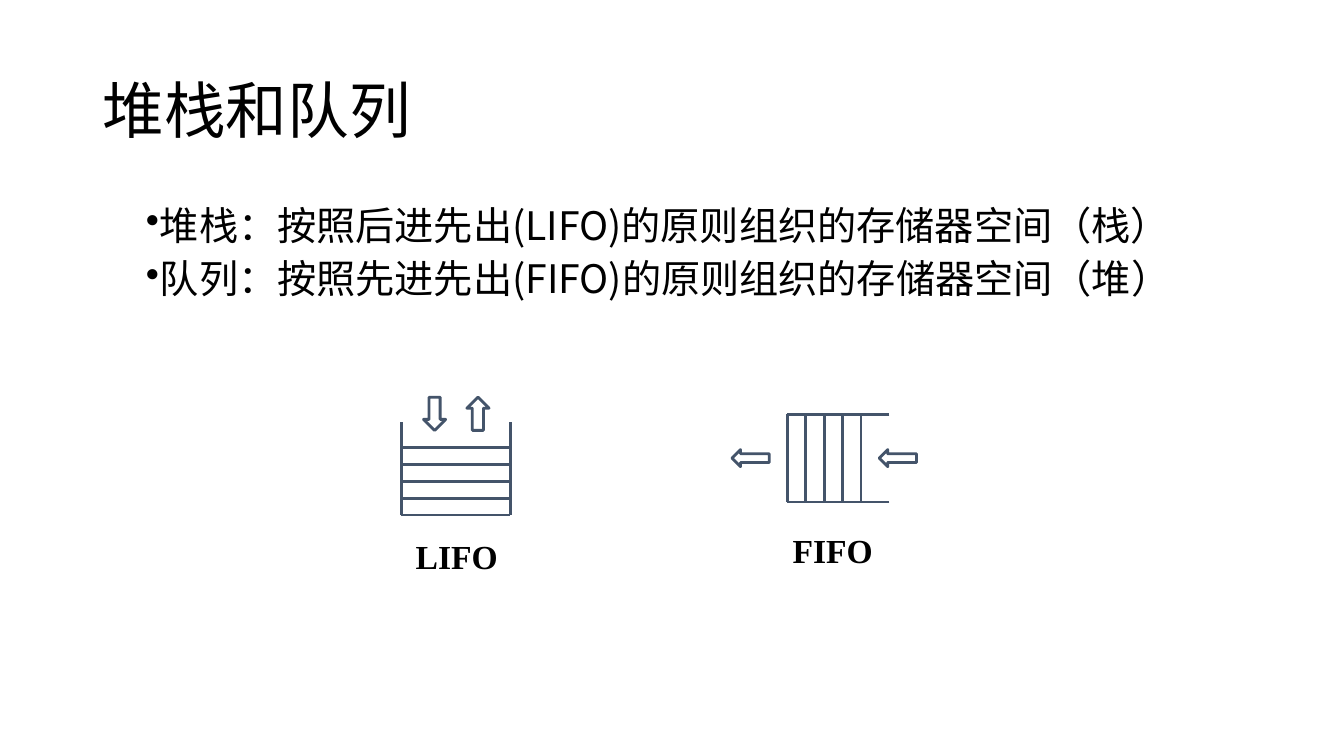
"""Build the slide that compares a stack with a queue."""
from dataclasses import dataclass
from typing import Any

import pptx
import pptx.dml.color
import pptx.enum.shapes
import pptx.enum.text
import pptx.oxml.ns
import pptx.oxml.xmlchemy
import pptx.util

Inches = pptx.util.Inches
Pt = pptx.util.Pt
BLACK = pptx.dml.color.RGBColor(0x00, 0x00, 0x00)
SLATE = pptx.dml.color.RGBColor(0x44, 0x54, 0x6A)
CJK_FONT = "Noto Sans CJK SC"
MIDDLE = pptx.enum.text.MSO_ANCHOR.MIDDLE
CENTER = pptx.enum.text.PP_ALIGN.CENTER

TITLE_FONT = {"size": Pt(44), "name": "Calibri"}
RULE_FONT = {"size": Pt(28), "name": CJK_FONT}
CAPTION_FONT = {"size": Pt(24), "name": "Times New Roman", "bold": True}

DEFINITIONS = (
    "堆栈：按照后进先出(LIFO)的原则组织的存储器空间（栈）",
    "队列：按照先进先出(FIFO)的原则组织的存储器空间（堆）",
)


@dataclass(frozen=True)
class Box:
    left: float
    top: float
    width: float
    height: float

    def lengths(self) -> tuple[int, ...]:
        return tuple(Inches(n) for n in (self.left, self.top, self.width, self.height))


@dataclass(frozen=True)
class Segment:
    x1: float
    y1: float
    x2: float
    y2: float


@dataclass(frozen=True)
class Arrow:
    box: Box
    rotation: float


@dataclass(frozen=True)
class Diagram:
    caption: str
    caption_box: Box
    segments: tuple[Segment, ...]
    arrows: tuple[Arrow, ...]


STACK = Diagram(
    "LIFO",
    Box(4.02, 5.27, 1.02, 0.5),
    tuple(Segment(x, 4.19, x, 5.11) for x in (3.98, 5.06))
    + tuple(Segment(3.98, 4.44 + 0.1675 * i, 5.06, 4.44 + 0.1675 * i) for i in range(5)),
    (Arrow(Box(4.2, 3.94, 0.22, 0.33), 180), Arrow(Box(4.63, 3.94, 0.22, 0.33), 0)),
)
QUEUE = Diagram(
    "FIFO",
    Box(7.76, 5.21, 1, 0.5),
    tuple(Segment(8.82, y, 7.81, y) for y in (4.11, 4.98))
    + tuple(Segment(7.81 + 0.1825 * i, 4.11, 7.81 + 0.1825 * i, 4.98) for i in range(5)),
    tuple(Arrow(Box(x, 4.36, 0.17, 0.37), 270) for x in (8.82, 7.36)),
)


def apply_format(target: Any, values: dict[str, Any]) -> None:
    for attribute, value in values.items():
        setattr(target, attribute, value)


def write_run(paragraph: Any, text: str, font_format: dict[str, Any]) -> None:
    run = paragraph.add_run()
    run.text = text
    apply_format(run.font, font_format)
    run.font.color.rgb = BLACK
    east_asian = pptx.oxml.xmlchemy.OxmlElement("a:ea")
    east_asian.set("typeface", CJK_FONT)
    run.font._element.find(pptx.oxml.ns.qn("a:latin")).addnext(east_asian)


def add_bullet(paragraph: Any) -> None:
    properties = paragraph._p.get_or_add_pPr()
    properties.set("marL", "0")
    properties.set("indent", str(Inches(0.43)))
    bullet = pptx.oxml.xmlchemy.OxmlElement("a:buChar")
    bullet.set("char", "•")
    properties.append(bullet)


def draw_title(shapes: Any) -> None:
    title = shapes.add_textbox(*Box(0.92, 0.4, 11.5, 1.45).lengths()).text_frame
    apply_format(title, {"word_wrap": True, "vertical_anchor": MIDDLE})
    title.paragraphs[0].line_spacing = 0.9
    write_run(title.paragraphs[0], "堆栈和队列", TITLE_FONT)


def draw_definitions(shapes: Any) -> None:
    body = shapes.add_textbox(*Box(0.92, 2, 11.5, 4.76).lengths()).text_frame
    body.word_wrap = True
    for index, definition in enumerate(DEFINITIONS):
        paragraph = body.add_paragraph() if index else body.paragraphs[0]
        add_bullet(paragraph)
        paragraph.line_spacing = 0.9
        if index:
            paragraph.space_before = Pt(8)
        write_run(paragraph, definition, RULE_FONT)


def draw_segment(shapes: Any, segment: Segment) -> None:
    ends = (Inches(n) for n in (segment.x1, segment.y1, segment.x2, segment.y2))
    edge = shapes.add_connector(pptx.enum.shapes.MSO_CONNECTOR.STRAIGHT, *ends)
    edge.line.color.rgb = SLATE
    edge.line.width = Pt(2)
    edge._element.spPr.append(pptx.oxml.xmlchemy.OxmlElement("a:effectLst"))


def draw_arrow(shapes: Any, arrow: Arrow) -> None:
    flow = shapes.add_shape(pptx.enum.shapes.MSO_SHAPE.UP_ARROW, *arrow.box.lengths())
    flow.rotation = arrow.rotation
    flow.shadow.inherit = False
    flow.fill.background()
    flow.line.color.rgb = SLATE
    flow.line.width = Pt(2)


def draw_diagram(shapes: Any, diagram: Diagram) -> None:
    members = shapes.add_group_shape().shapes
    for segment in diagram.segments:
        draw_segment(members, segment)
    for arrow in diagram.arrows:
        draw_arrow(members, arrow)
    caption = members.add_textbox(*diagram.caption_box.lengths()).text_frame
    apply_format(caption, {"word_wrap": False, "vertical_anchor": MIDDLE})
    caption.paragraphs[0].alignment = CENTER
    write_run(caption.paragraphs[0], diagram.caption, CAPTION_FONT)


def main() -> None:
    presentation = pptx.Presentation()
    apply_format(presentation, {"slide_width": Inches(13.33), "slide_height": Inches(7.5)})
    shapes = presentation.slides.add_slide(presentation.slide_layouts[6]).shapes
    draw_title(shapes)
    draw_definitions(shapes)
    for diagram in (STACK, QUEUE):
        draw_diagram(shapes, diagram)
    presentation.save("out.pptx")


if __name__ == "__main__":
    main()
